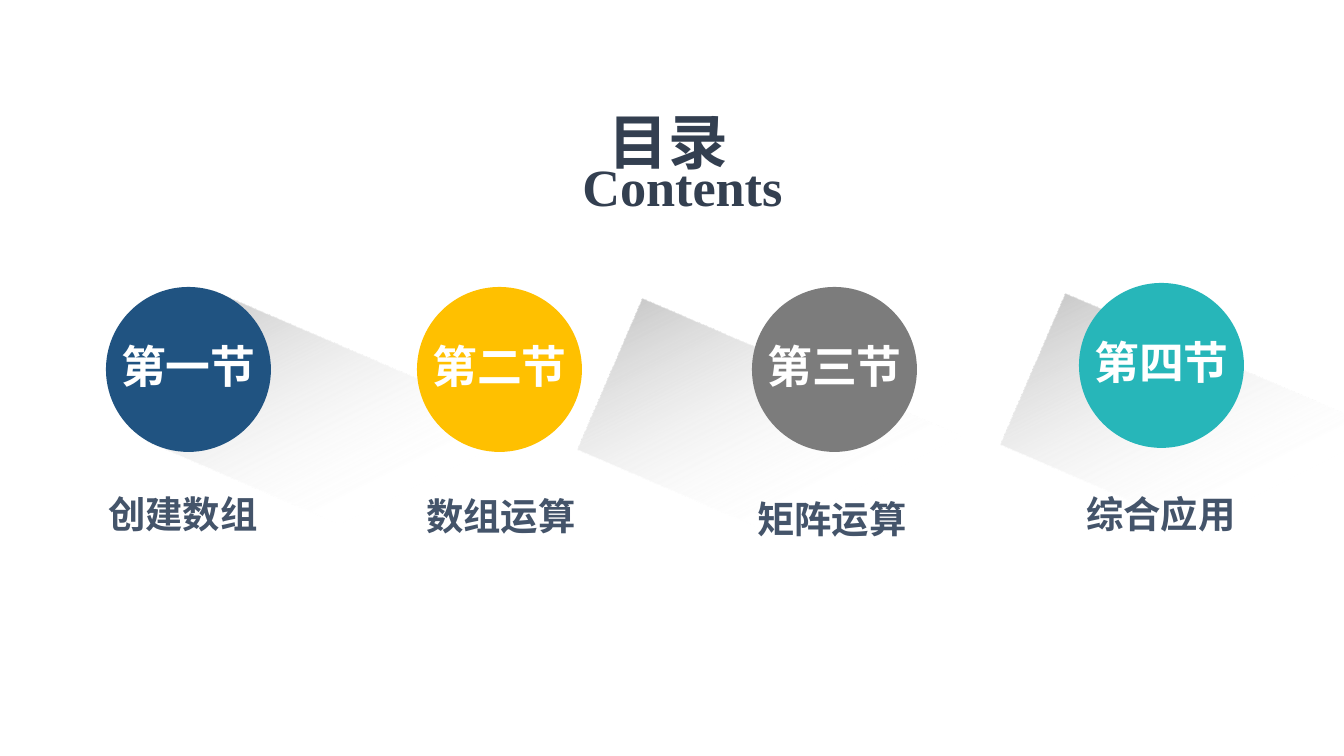
from dataclasses import dataclass

from lxml.etree import SubElement
from pptx import Presentation
from pptx.dml.color import RGBColor
from pptx.enum.shapes import MSO_SHAPE
from pptx.enum.text import MSO_ANCHOR, MSO_AUTO_SIZE, PP_ALIGN
from pptx.oxml.ns import qn
from pptx.util import Pt

SLIDE_WIDTH, SLIDE_HEIGHT = 1344, 756
EMU_PER_PX = 9144000 / SLIDE_WIDTH
CIRCLE = 165


@dataclass(frozen=True)
class Theme:
    cjk: str = "Noto Sans CJK SC"
    latin: str = "Times New Roman"
    heading: str = "333F50"
    topic: str = "44546A"
    white: str = "FFFFFF"
    ray: str = "BFBFBF"
    title_size: int = 32
    subtitle_size: int = 28
    label_size: int = 24
    topic_size: int = 20


THEME = Theme()

# label, topic, colour, circle left and top, topic left and top
SECTIONS = [
    ("第一节", "创建数组", "205381", 106, 287, 108, 491),
    ("第二节", "数组运算", "FFC000", 417, 287, 426, 493),
    ("第三节", "矩阵运算", "7C7C7C", 752, 287, 757, 496),
    ("第四节", "综合应用", "27B6B9", 1079, 283, 1086, 491),
]
RAYS = [(160, 383), (1013, 386), (590, 391)]


def px(value):
    return round(value * EMU_PER_PX)


def place(shape, left, top, width, height):
    shape.left, shape.top = px(left), px(top)
    shape.width, shape.height = px(width), px(height)


def write(shape, text, size, color, font, align=PP_ALIGN.CENTER, anchor=MSO_ANCHOR.MIDDLE):
    """Put one bold line in a shape, without insets or wrapping."""
    frame = shape.text_frame
    frame.margin_left = frame.margin_right = frame.margin_top = frame.margin_bottom = 0
    frame.word_wrap = False
    frame.auto_size = MSO_AUTO_SIZE.NONE
    frame.vertical_anchor = anchor
    para = frame.paragraphs[0]
    para.alignment = align
    span = para.add_run()
    span.text = text
    span.font.size = Pt(size)
    span.font.bold = True
    span.font.name = font
    span.font.color.rgb = RGBColor.from_string(color)
    SubElement(span.font._element, qn("a:ea")).set("typeface", font)


def add_text(page, box, text, size, color, font):
    shape = page.shapes.add_textbox(*map(px, box))
    write(shape, text, size, color, font)


def add_plain_shape(page, kind, box):
    shape = page.shapes.add_shape(kind, *map(px, box))
    shape.shadow.inherit = False
    shape.line.fill.background()
    return shape


def add_ray(page, left, top):
    """Add a tilted grey band that fades to clear."""
    ray = add_plain_shape(page, MSO_SHAPE.RECTANGLE, (left, top, 500, 164))
    ray.rotation = 23.3
    ray.fill.gradient()
    ray.fill.gradient_angle = 320
    start, end = ray.fill.gradient_stops
    start.position, end.position = 0, 0.54
    start.color.rgb = RGBColor.from_string(THEME.ray)
    end.color.rgb = RGBColor.from_string(THEME.white)
    end_color = ray._element.spPr.findall(".//" + qn("a:srgbClr"))[-1]
    SubElement(end_color, qn("a:alpha")).set("val", "0")


def add_circle(page, left, top, color):
    circle = add_plain_shape(page, MSO_SHAPE.OVAL, (left, top, CIRCLE, CIRCLE))
    circle.fill.solid()
    circle.fill.fore_color.rgb = RGBColor.from_string(color)


def add_section(page, label, topic, color, left, top, topic_left, topic_top):
    add_circle(page, left, top, color)
    add_text(page, (left, top + 45, CIRCLE, 67), label,
             THEME.label_size, THEME.white, THEME.cjk)
    add_text(page, (topic_left, topic_top, 150, 46), topic,
             THEME.topic_size, THEME.topic, THEME.cjk)


def add_heading(page):
    title = page.shapes.title
    place(title, 609, 105, 148, 67)
    write(title, "目录", THEME.title_size, THEME.heading, THEME.cjk,
          PP_ALIGN.LEFT, MSO_ANCHOR.TOP)
    add_text(page, (598, 102, 169, 167), "Contents",
             THEME.subtitle_size, THEME.heading, THEME.latin)


def main():
    deck = Presentation()
    deck.slide_width, deck.slide_height = px(SLIDE_WIDTH), px(SLIDE_HEIGHT)
    page = deck.slides.add_slide(deck.slide_layouts[5])
    for left, top in RAYS:
        add_ray(page, left, top)
    add_heading(page)
    for section in SECTIONS:
        add_section(page, *section)
    deck.save("out.pptx")


if __name__ == "__main__":
    main()
